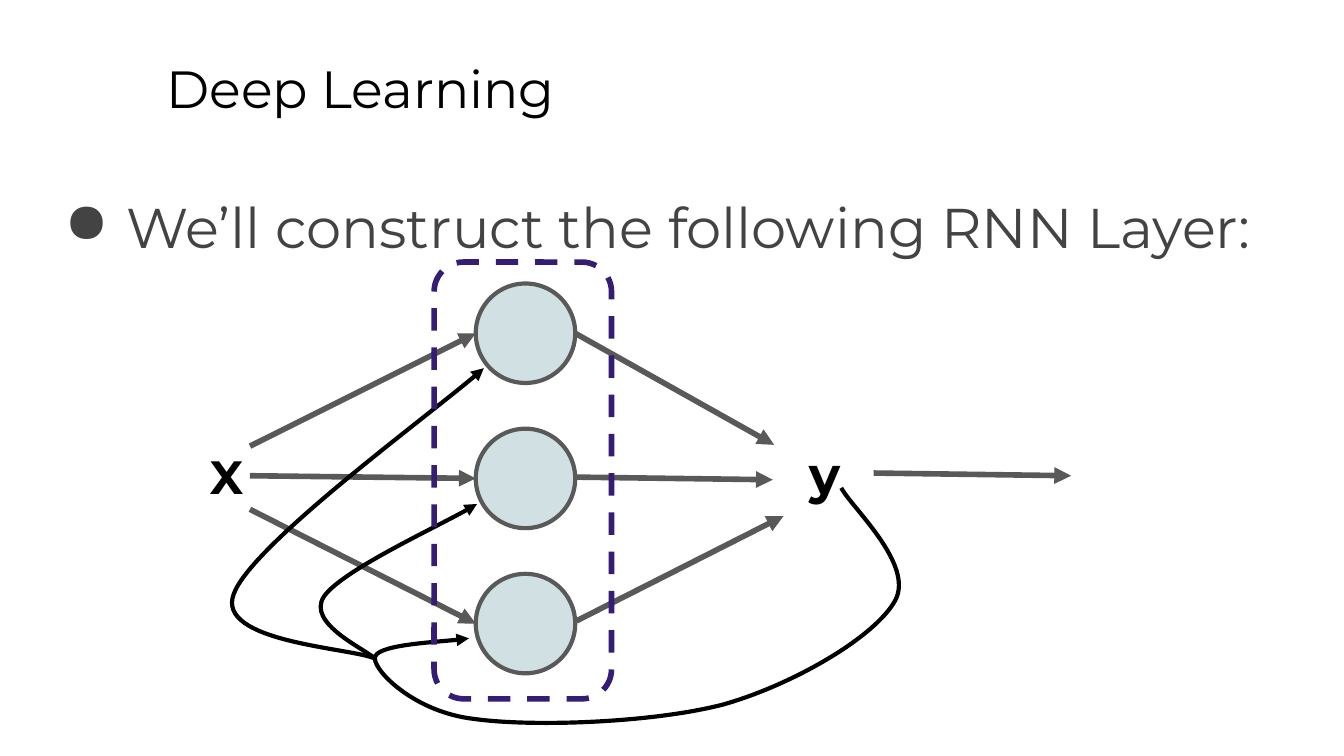
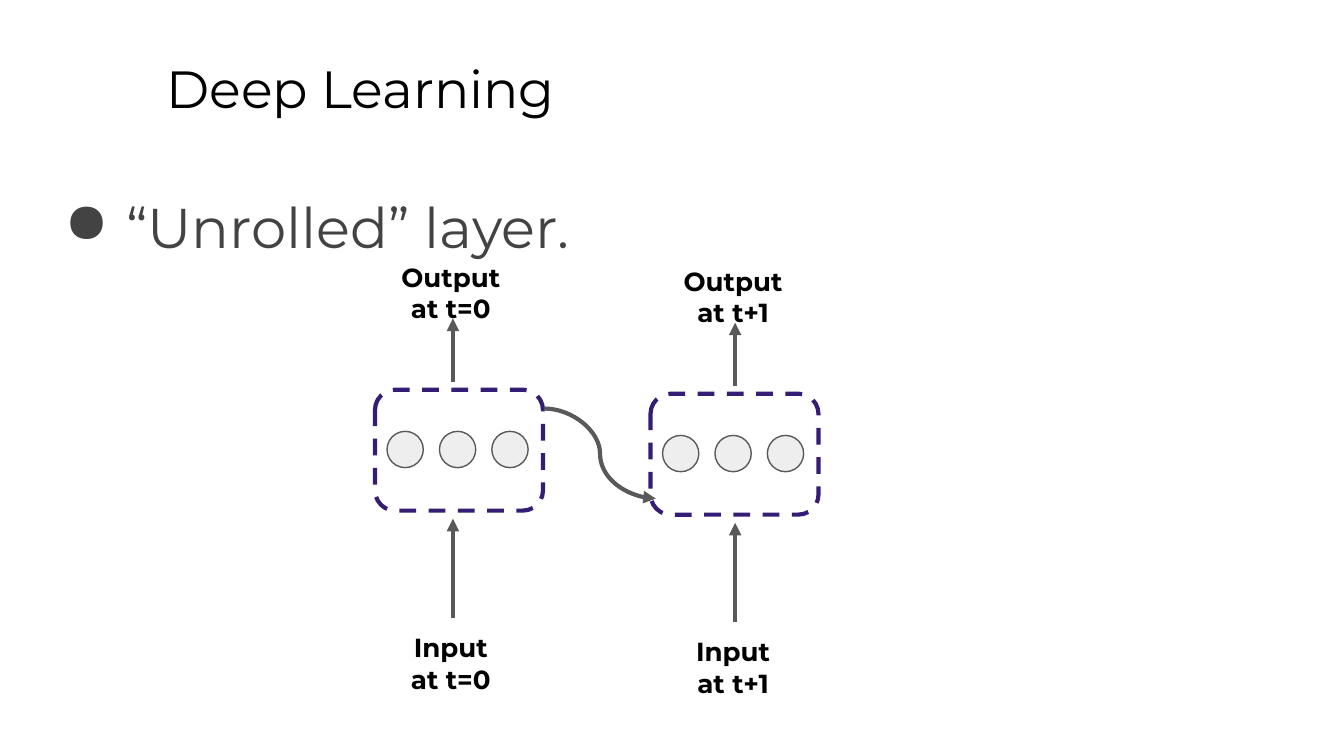
from lxml.etree import SubElement
from pptx import Presentation
from pptx.dml.color import RGBColor
from pptx.enum.dml import MSO_LINE
from pptx.enum.shapes import MSO_CONNECTOR, MSO_SHAPE
from pptx.enum.text import MSO_ANCHOR, PP_ALIGN
from pptx.oxml.ns import qn
from pptx.util import Inches, Pt

OVAL, ROUND = MSO_SHAPE.OVAL, MSO_SHAPE.ROUNDED_RECTANGLE
STRAIGHT, CURVE = MSO_CONNECTOR.STRAIGHT, MSO_CONNECTOR.CURVE
DASH = MSO_LINE.DASH
LEFT, CENTER = PP_ALIGN.LEFT, PP_ALIGN.CENTER

# The slide is a grid of 100 columns by 56.25 rows of square cells.
COLS, ROWS = 100, 56.25
WIDTH = Inches(10)
CELL = WIDTH / COLS

FONT = "Montserrat"
BLACK, TEXT, GREY, PURPLE = "000000", "434343", "595959", "351C75"
TEAL, PALE = "D0E0E3", "EEEEEE"


def cells(*nums):
    return [round(n * CELL) for n in nums]


def color(code):
    return RGBColor.from_string(code)


def put(item, **values):
    for name, value in values.items():
        setattr(item, name, value)


def stroke(shape, code, weight, dash=None):
    shape.line.color.rgb = color(code)
    put(shape.line, width=Pt(weight), dash_style=dash)


def tip(shape):
    """Put an arrowhead on the end of a line."""
    line = shape._element.spPr.find(qn("a:ln"))
    SubElement(line, qn("a:tailEnd"), type="triangle")


def label(slide, text, box, size, code=BLACK, bold=True, align=CENTER):
    frame = slide.shapes.add_textbox(*cells(*box)).text_frame
    inset = Inches(0.1)
    put(frame, word_wrap=True, vertical_anchor=MSO_ANCHOR.TOP,
        margin_left=inset, margin_right=inset,
        margin_top=inset, margin_bottom=inset, text=text)
    for para in frame.paragraphs:
        para.alignment = align
        put(para.font, name=FONT, size=Pt(size), bold=bold)
        para.font.color.rgb = color(code)
    return frame.paragraphs[0]


def bullet(para):
    para.line_spacing = 1.15
    props = para._p.get_or_add_pPr()
    put_at = {"marL": Inches(0.5), "indent": Inches(-0.46)}
    for name, value in put_at.items():
        props.set(name, str(value))
    tint = SubElement(props, qn("a:buClr"))
    SubElement(tint, qn("a:srgbClr"), val=TEXT)
    SubElement(props, qn("a:buChar"), char="●")


def shape(slide, kind, box, fill, *line):
    item = slide.shapes.add_shape(kind, *cells(*box))
    item.shadow.inherit = False
    if fill:
        item.fill.solid()
        item.fill.fore_color.rgb = color(fill)
    else:
        item.fill.background()
    stroke(item, *line)


def arrow(slide, start, end, weight, kind=STRAIGHT):
    item = slide.shapes.add_connector(kind, *cells(*start, *end))
    stroke(item, GREY, weight)
    SubElement(item._element.spPr, qn("a:effectLst"))
    tip(item)


def curve(slide, start, *points):
    """Draw a Bezier arrow; each three points are two handles and an end."""
    pen = slide.shapes.build_freeform(*cells(*start), scale=1.0)
    pen.add_line_segments([cells(*p) for p in points], close=False)
    item = pen.convert_to_shape()
    item.shadow.inherit = False
    item.fill.background()
    stroke(item, BLACK, 2.25)
    tip(item)
    legs = list(item._element.iter(qn("a:lnTo")))
    for first in range(0, len(legs), 3):
        bend = SubElement(legs[first].getparent(), qn("a:cubicBezTo"))
        for leg in legs[first:first + 3]:
            bend.append(leg[0])
            leg.getparent().remove(leg)


def page(deck, point):
    slide = deck.slides.add_slide(deck.slide_layouts[6])
    label(slide, "Deep Learning", (11.4, 3.2, 85.2, 6.3), 28,
          bold=False, align=LEFT)
    bullet(label(slide, point, (3.4, 12.6, 95.2, 8.5), 30, TEXT, False, LEFT))
    return slide


def layer(slide):
    for row in range(3):
        shape(slide, OVAL, (35.4, 21.1 + 10.8 * row, 7.4, 7.4),
              TEAL, GREY, 2.25)
    ends = [
        ((18.6, 33.2), (35.4, 24.8)), ((42.8, 24.8), (57.6, 33.1)),
        ((18.6, 35.4), (35.4, 35.6)), ((42.8, 35.5), (57.5, 35.7)),
        ((18.6, 37.9), (35.4, 46.4)), ((42.9, 46.2), (58.3, 38.4)),
        ((65, 35.2), (79.7, 35.4)),
    ]
    for start, end in ends:
        arrow(slide, start, end, 3)
    for text, left, top, size in (("X", 12, 32.3, 25), ("y", 56.5, 31.9, 28)):
        label(slide, text, (left, top, 9.7, 4.4), size)
    fork = (27.9, 49)
    curve(slide, (62.6, 36.3),
          (63.3, 37.7), (68.1, 42), (66.6, 44.7),
          (65.1, 47.4), (59.1, 50.9), (53.9, 52.4),
          (48.6, 53.8), (39.6, 54.1), (35.3, 53.5),
          (30.9, 53), (27.9, 50), fork,
          (27.8, 48), (33.8, 47.7), (34.9, 47.5))
    curve(slide, fork, (27.2, 48.3), (22.8, 46.4), (24.1, 44.4),
          (25.4, 42.5), (33.6, 38.7), (35.5, 37.5))
    curve(slide, fork, (26.1, 48.2), (16, 47.8), (17.4, 44.2),
          (18.7, 40.6), (32.9, 30.2), (36, 27.4))
    shape(slide, ROUND, (32.3, 19.5, 13.2, 32.5), None, PURPLE, 3, DASH)


def step(slide, left, top, axis, feed, out):
    """Draw one time step: input, boxed neurons, output."""
    for start, end in ((-0.6, -5.3), (17, 9.6)):
        arrow(slide, (axis, top + start), (axis, top + end), 2.25)
    for text, rise in ((feed, 17), (out, -10.55)):
        label(slide, text, (axis - 5, top + rise, 9.7, 3.7), 14)
    shape(slide, ROUND, (left, top, 12.5, 9), None, PURPLE, 2.25, DASH)
    for col in range(3):
        shape(slide, OVAL, (left + 0.9 + 3.9 * col, top + 3.1, 2.7, 2.7),
              PALE, GREY, 0.75)


def main():
    deck = Presentation()
    put(deck, slide_width=WIDTH, slide_height=round(ROWS * CELL))
    layer(page(deck, "We’ll construct the following RNN Layer:"))
    slide = page(deck, "“Unrolled” layer.")
    step(slide, 27.9, 29, 33.7, "Input\nat t=0", "Output at t=0")
    step(slide, 48.4, 29.3, 54.7, "Input at t+1", "Output at t+1")
    arrow(slide, (40.5, 30.4), (48.8, 37.1), 2.25, CURVE)
    deck.save("out.pptx")


if __name__ == "__main__":
    main()
